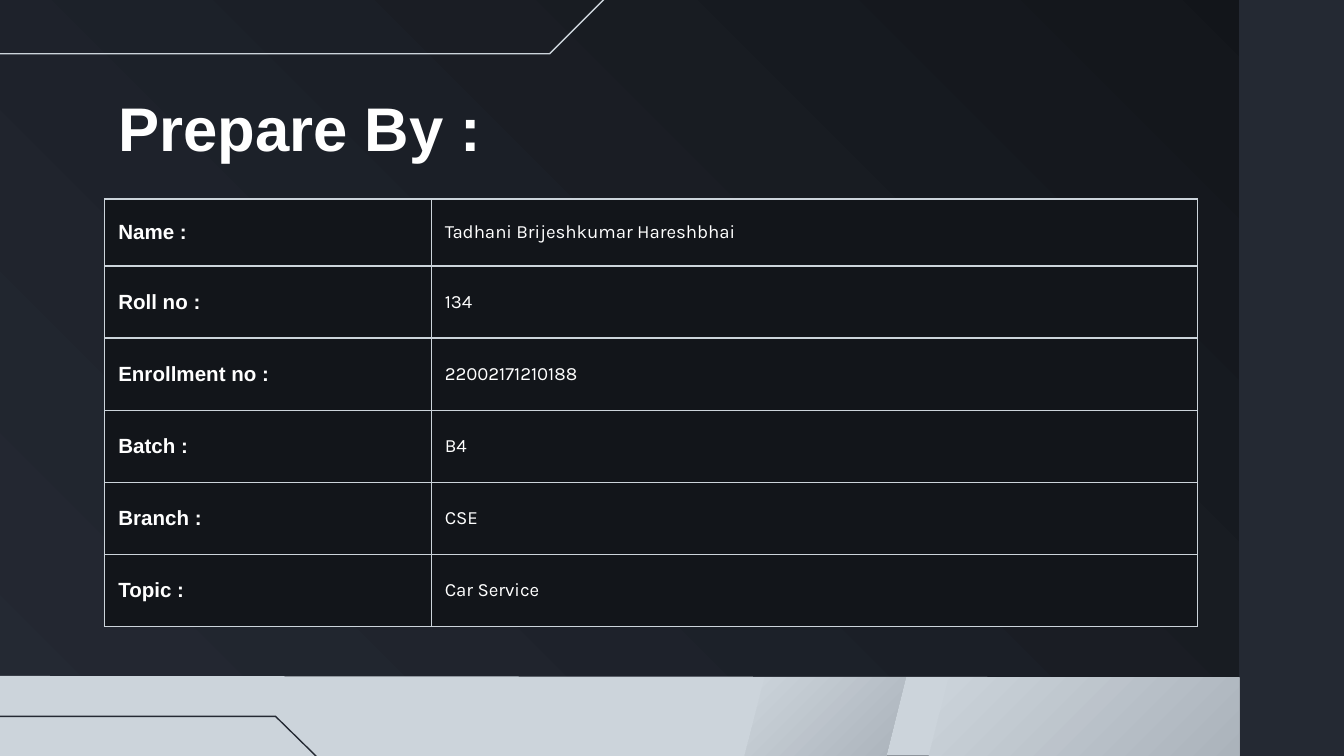
from lxml import etree
from pptx import Presentation
from pptx.dml.color import RGBColor
from pptx.enum.shapes import MSO_SHAPE
from pptx.enum.text import MSO_ANCHOR, MSO_AUTO_SIZE, PP_ALIGN
from pptx.oxml.ns import qn
from pptx.util import Inches, Pt

RECTANGLE = MSO_SHAPE.RECTANGLE
TOP, MIDDLE = MSO_ANCHOR.TOP, MSO_ANCHOR.MIDDLE
LEFT = PP_ALIGN.LEFT
NO_AUTOFIT = MSO_AUTO_SIZE.NONE

INK, SLATE, MIST, STEEL, WHITE = "12151A", "242933", "CCD4DB", "ABB3BB", "FFFFFF"
SLIDE_WIDTH = 10
SLIDE_HEIGHT = SLIDE_WIDTH * 9 / 16
SIDE_BAR_LEFT = 9.22

TITLE = "Prepare By :"
DETAILS = [
    ("Name :", "Tadhani Brijeshkumar Hareshbhai"),
    ("Roll no :", "134"),
    ("Enrollment no :", "22002171210188"),
    ("Batch :", "B4"),
    ("Branch :", "CSE"),
    ("Topic :", "Car Service"),
]
TABLE_LEFT, TABLE_TOP, TABLE_HEIGHT = 0.78, 1.48, 3.18
COLUMN_WIDTHS = [2.43, 5.7]
FIRST_ROW_HEIGHT = 0.5

TOP_LINE = [(-0.03, 0.4), (4.09, 0.4), (4.51, -0.02), (9.21, -0.02)]
BOTTOM_LINE = [(5.2, 5.82), (2.55, 5.82), (2.05, 5.33), (-0.65, 5.33)]
BOTTOM_BAND = [(-0.01, 5.03), (-0.01, 5.63), (9.22, 5.62), (9.22, 5.04)]
BAND_FACETS = [
    [(5.69, 5.04), (5.54, 5.63), (6.59, 5.64), (6.74, 5.04)],
    [(7.06, 5.04), (6.91, 5.63), (9.22, 5.63), (9.22, 5.04)],
]

TITLE_FONT = {"name": "Arial", "size": Pt(33), "bold": True}
COLUMN_FONTS = [
    {"name": "Arial", "size": Pt(11), "bold": True},
    {"name": "Karla", "size": Pt(10), "bold": False},
]
TITLE_PLACE = {
    "left": Inches(0.78), "top": Inches(0.57),
    "width": Inches(8.44), "height": Inches(0.63),
}
TITLE_FRAME = {
    "margin_left": Inches(0.1), "margin_right": Inches(0.1),
    "margin_top": Inches(0.1), "margin_bottom": Inches(0.1),
    "vertical_anchor": TOP, "word_wrap": True, "auto_size": NO_AUTOFIT,
}
CELL_FORMAT = {
    "margin_left": Inches(0.1), "margin_right": Inches(0.1),
    "margin_top": 0, "margin_bottom": 0, "vertical_anchor": MIDDLE,
}


def color(hex_value):
    """Turn a hex string into a colour."""
    return RGBColor.from_string(hex_value)


def apply_format(target, values):
    """Set attributes from a dict."""
    for name, value in values.items():
        setattr(target, name, value)


def fill_solid(fill, hex_value):
    """Fill with one colour."""
    fill.solid()
    fill.fore_color.rgb = color(hex_value)


def fill_gradient(fill, hex_values, angle):
    """Fill with a two-colour linear gradient, its angle counter-clockwise."""
    fill.gradient()
    fill.gradient_angle = angle
    for stop, hex_value in zip(fill.gradient_stops, hex_values):
        stop.color.rgb = color(hex_value)


def write_text(text_frame, text, font_format):
    """Write one left-aligned white paragraph."""
    paragraph = text_frame.paragraphs[0]
    paragraph.alignment = LEFT
    run = paragraph.add_run()
    run.text = text
    apply_format(run.font, font_format)
    run.font.color.rgb = color(WHITE)


def add_outline(slide, points, closed):
    """Add a freeform through points given in inches."""
    start, *others = [(Inches(x), Inches(y)) for x, y in points]
    builder = slide.shapes.build_freeform(*start)
    builder.add_line_segments(others, close=closed)
    shape = builder.convert_to_shape()
    shape.shadow.inherit = False
    return shape


def add_polygon(slide, points):
    """Add a closed freeform without a line."""
    shape = add_outline(slide, points, True)
    shape.line.fill.background()
    return shape


def add_polyline(slide, points, hex_value):
    """Add an open, unfilled freeform."""
    shape = add_outline(slide, points, False)
    shape.fill.background()
    shape.line.color.rgb = color(hex_value)
    shape.line.width = Pt(0.75)


def add_borders(cell, hex_value, width):
    """Draw a border on all four sides of a cell."""
    properties = cell._tc.get_or_add_tcPr()
    for side in ("a:lnL", "a:lnR", "a:lnT", "a:lnB"):
        line = etree.SubElement(properties, qn(side), w=str(width))
        fill = etree.SubElement(line, qn("a:solidFill"))
        etree.SubElement(fill, qn("a:srgbClr"), val=hex_value)


def add_decoration(slide):
    """Add the background, side bar, bottom band and angled lines."""
    fill_gradient(slide.background.fill, (INK, SLATE), 225)
    side_bar = slide.shapes.add_shape(
        RECTANGLE, Inches(SIDE_BAR_LEFT), 0,
        Inches(SLIDE_WIDTH - SIDE_BAR_LEFT), Inches(SLIDE_HEIGHT))
    side_bar.shadow.inherit = False
    fill_solid(side_bar.fill, SLATE)
    side_bar.line.fill.background()
    add_polyline(slide, TOP_LINE, MIST)
    fill_solid(add_polygon(slide, BOTTOM_BAND).fill, MIST)
    for facet in BAND_FACETS:
        fill_gradient(add_polygon(slide, facet).fill, (MIST, STEEL), 315)
    add_polyline(slide, BOTTOM_LINE, SLATE)


def add_title(slide):
    """Place and write the title."""
    title = slide.shapes.title
    apply_format(title, TITLE_PLACE)
    apply_format(title.text_frame, TITLE_FRAME)
    write_text(title.text_frame, TITLE, TITLE_FONT)


def add_details(slide):
    """Add the table of personal details."""
    other_rows = len(DETAILS) - 1
    row_height = (TABLE_HEIGHT - FIRST_ROW_HEIGHT) / other_rows
    heights = [FIRST_ROW_HEIGHT] + [row_height] * other_rows
    table = slide.shapes.add_table(
        len(DETAILS), len(COLUMN_WIDTHS), Inches(TABLE_LEFT), Inches(TABLE_TOP),
        Inches(sum(COLUMN_WIDTHS)), Inches(TABLE_HEIGHT)).table
    apply_format(table, {"first_row": False, "horz_banding": False})
    for column, width in zip(table.columns, COLUMN_WIDTHS):
        column.width = Inches(width)
    for row, height, texts in zip(table.rows, heights, DETAILS):
        row.height = Inches(height)
        for cell, text, font_format in zip(row.cells, texts, COLUMN_FONTS):
            apply_format(cell, CELL_FORMAT)
            add_borders(cell, MIST, Pt(0.75))
            fill_solid(cell.fill, INK)
            write_text(cell.text_frame, text, font_format)


def main():
    """Build and save the presentation."""
    presentation = Presentation()
    presentation.slide_width = Inches(SLIDE_WIDTH)
    presentation.slide_height = Inches(SLIDE_HEIGHT)
    slide = presentation.slides.add_slide(presentation.slide_layouts[5])
    add_decoration(slide)
    add_title(slide)
    add_details(slide)
    presentation.save("out.pptx")


if __name__ == "__main__":
    main()
